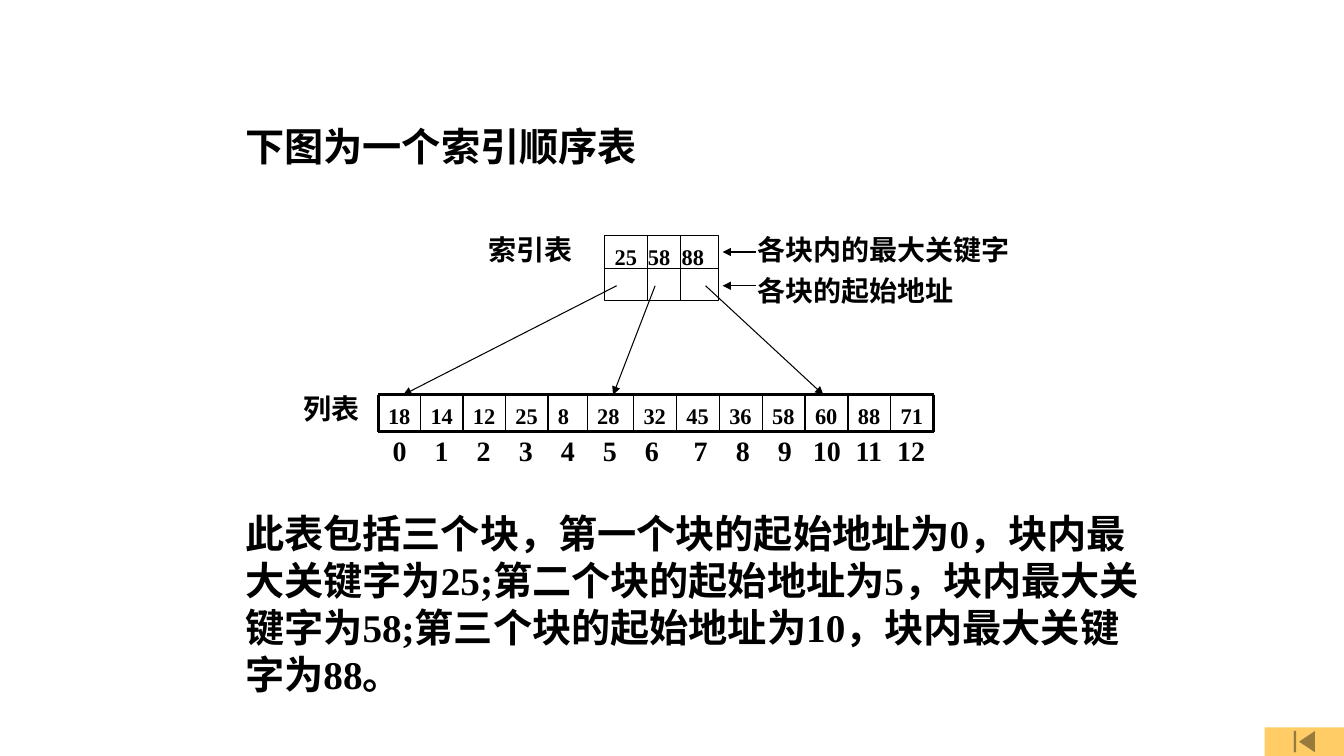
from dataclasses import dataclass
from itertools import accumulate

from lxml import etree
from pptx import Presentation
from pptx.dml.color import RGBColor
from pptx.enum.shapes import MSO_CONNECTOR, MSO_SHAPE
from pptx.enum.text import MSO_ANCHOR, MSO_AUTO_SIZE, PP_ALIGN
from pptx.oxml.ns import qn
from pptx.util import Cm, Pt

STRAIGHT = MSO_CONNECTOR.STRAIGHT
RECTANGLE = MSO_SHAPE.RECTANGLE
BEGINNING_BUTTON = MSO_SHAPE.ACTION_BUTTON_BEGINNING
LEFT, TOP = PP_ALIGN.LEFT, MSO_ANCHOR.TOP
TITLE_ONLY = 5


@dataclass(frozen=True)
class Theme:
    font: str = "Times New Roman"
    ink: RGBColor = RGBColor(0x00, 0x00, 0x00)
    button: RGBColor = RGBColor(0xFF, 0xCC, 0x66)
    body_size: int = 28
    label_size: int = 20
    key_size: int = 16
    thin: float = 0.75
    inner: float = 1
    outer: float = 2.25


THEME = Theme()

TITLE = "下图为一个索引顺序表"
EXPLANATION = (
    "此表包括三个块，第一个块的起始地址为0，块内最大关键字为25;"
    "第二个块的起始地址为5，块内最大关键字为58;"
    "第三个块的起始地址为10，块内最大关键字为88。"
)
LABELS = [
    ("索引表", 12.07, 5.72, 2.74),
    ("各块内的最大关键字", 18.83, 5.72, 7.2),
    ("各块的起始地址", 18.83, 6.76, 6.15),
    ("列表", 7.4, 9.74, 2.11),
]
LABEL_HEIGHT = 1.09
KEY_INSET_TOP = 0.19

INDEX_LEFT, INDEX_TOP, INDEX_RIGHT, INDEX_BOTTOM = 15.24, 5.93, 18.1, 7.57
INDEX_ROW_EDGE = 6.77
INDEX_COLUMN_EDGES = [16.31, 17.15]
INDEX_KEYS = ["25", "58", "88"]
INDEX_TABS = [0.84, 1.69]

LIST_LEFT, LIST_TOP, LIST_BOTTOM = 9.53, 9.95, 10.88
LIST_KEYS = ["18", "14", "12", "25", "8", "28", "32", "45", "36", "58", "60", "88", "71"]
LIST_WIDTHS = [1.07] * 4 + [0.99, 1.17] + [1.08] * 7

POSITION_LEFT, POSITION_TOP, POSITION_WIDTH = 9.32, 10.8, 16.08
POSITION_STEP = 1.06
WIDER_GAP_BEFORE, WIDER_GAP = 7, 0.17

POINTER_TOP = 7.2
POINTERS = [(15.54, 10.16), (16.51, 15.45), (17.78, 20.75)]
ROW_ARROW_TOPS = [6.35, POINTER_TOP]
ROW_ARROW_START, ROW_ARROW_END = 19.05, 18.21


def write(text_frame, text, size, tabs=(), tab_alignment="l"):
    text_frame.word_wrap = True
    text_frame.vertical_anchor = TOP
    paragraph = text_frame.paragraphs[0]
    paragraph.alignment = LEFT
    paragraph.space_before = Pt(0)
    if tabs:
        tab_list = etree.SubElement(paragraph._p.get_or_add_pPr(), qn("a:tabLst"))
        for tab in tabs:
            etree.SubElement(tab_list, qn("a:tab"), pos=str(Cm(tab)), algn=tab_alignment)
    run = paragraph.add_run()
    run.text = text
    run.font.name = THEME.font
    run.font.size = Pt(size)
    run.font.bold = True
    run.font.color.rgb = THEME.ink


def place_title(slide, text, left, top, width, height):
    title = slide.shapes.title
    title.left, title.top, title.width, title.height = map(Cm, (left, top, width, height))
    title.text_frame.auto_size = MSO_AUTO_SIZE.NONE
    write(title.text_frame, text, THEME.body_size)


def add_text(slide, text, left, top, width, height, size, inset_top=0.13, **tab_options):
    box = slide.shapes.add_textbox(Cm(left), Cm(top), Cm(width), Cm(height))
    box.text_frame.margin_top = Cm(inset_top)
    write(box.text_frame, text, size, **tab_options)


def add_line(slide, start_x, start_y, end_x, end_y, width, arrow=False):
    line = slide.shapes.add_connector(
        STRAIGHT, Cm(start_x), Cm(start_y), Cm(end_x), Cm(end_y)
    )
    line.line.color.rgb = THEME.ink
    line.line.width = Pt(width)
    if arrow:
        etree.SubElement(line.line._get_or_add_ln(), qn("a:tailEnd"), type="triangle")
    etree.SubElement(line._element.spPr, qn("a:effectLst"))


def add_index(slide):
    """Draw the index: largest keys above, start addresses below."""
    box = slide.shapes.add_shape(
        RECTANGLE, Cm(INDEX_LEFT), Cm(INDEX_TOP),
        Cm(INDEX_RIGHT - INDEX_LEFT), Cm(INDEX_BOTTOM - INDEX_TOP),
    )
    box.shadow.inherit = False
    box.fill.background()
    box.line.color.rgb = THEME.ink
    box.line.width = Pt(THEME.thin)
    box.text_frame.margin_top = Cm(KEY_INSET_TOP)
    write(box.text_frame, "\t".join(INDEX_KEYS), THEME.key_size, INDEX_TABS)
    add_line(slide, INDEX_LEFT, INDEX_ROW_EDGE, INDEX_RIGHT, INDEX_ROW_EDGE, THEME.thin)
    for x in INDEX_COLUMN_EDGES:
        add_line(slide, x, INDEX_TOP, x, INDEX_BOTTOM, THEME.thin)


def add_list(slide):
    """Draw the row of list keys with its frame and cell edges."""
    edges = list(accumulate(LIST_WIDTHS, initial=LIST_LEFT))
    for key, left, width in zip(LIST_KEYS, edges, LIST_WIDTHS):
        add_text(slide, key, left, LIST_TOP, width, LIST_BOTTOM - LIST_TOP,
                 THEME.key_size, KEY_INSET_TOP)
    for y in (LIST_TOP, LIST_BOTTOM):
        add_line(slide, edges[0], y, edges[-1], y, THEME.outer)
    for x in edges:
        width = THEME.outer if x in (edges[0], edges[-1]) else THEME.inner
        add_line(slide, x, LIST_TOP, x, LIST_BOTTOM, width)


def add_positions(slide):
    """Number the list cells from 0 on centred tab stops."""
    positions = range(len(LIST_KEYS))
    tabs = [
        0.5 + POSITION_STEP * position + (WIDER_GAP if position >= WIDER_GAP_BEFORE else 0)
        for position in positions
    ]
    text = "".join(f"\t{position}" for position in positions)
    add_text(slide, text, POSITION_LEFT, POSITION_TOP, POSITION_WIDTH, LABEL_HEIGHT,
             THEME.label_size, tabs=tabs, tab_alignment="ctr")


def add_beginning_button(slide, left, top, width, height):
    button = slide.shapes.add_shape(
        BEGINNING_BUTTON, Cm(left), Cm(top), Cm(width), Cm(height)
    )
    button.shadow.inherit = False
    button.fill.solid()
    button.fill.fore_color.rgb = THEME.button
    button.line.fill.background()


def main():
    presentation = Presentation()
    presentation.slide_width, presentation.slide_height = Cm(33.87), Cm(19.05)
    slide = presentation.slides.add_slide(presentation.slide_layouts[TITLE_ONLY])

    add_beginning_button(slide, 31.87, 18.33, 2, 0.72)
    place_title(slide, TITLE, 5.93, 2.95, 22.86, 1.45)

    add_index(slide)
    for start_x, end_x in POINTERS:
        add_line(slide, start_x, POINTER_TOP, end_x, LIST_TOP, THEME.thin, arrow=True)
    add_list(slide)
    for text, left, top, width in LABELS:
        add_text(slide, text, left, top, width, LABEL_HEIGHT, THEME.label_size)
    for y in ROW_ARROW_TOPS:
        add_line(slide, ROW_ARROW_START, y, ROW_ARROW_END, y, THEME.thin, arrow=True)
    add_positions(slide)

    add_text(slide, EXPLANATION, 5.93, 12.7, 23.07, 5, THEME.body_size)
    presentation.save("out.pptx")


if __name__ == "__main__":
    main()
